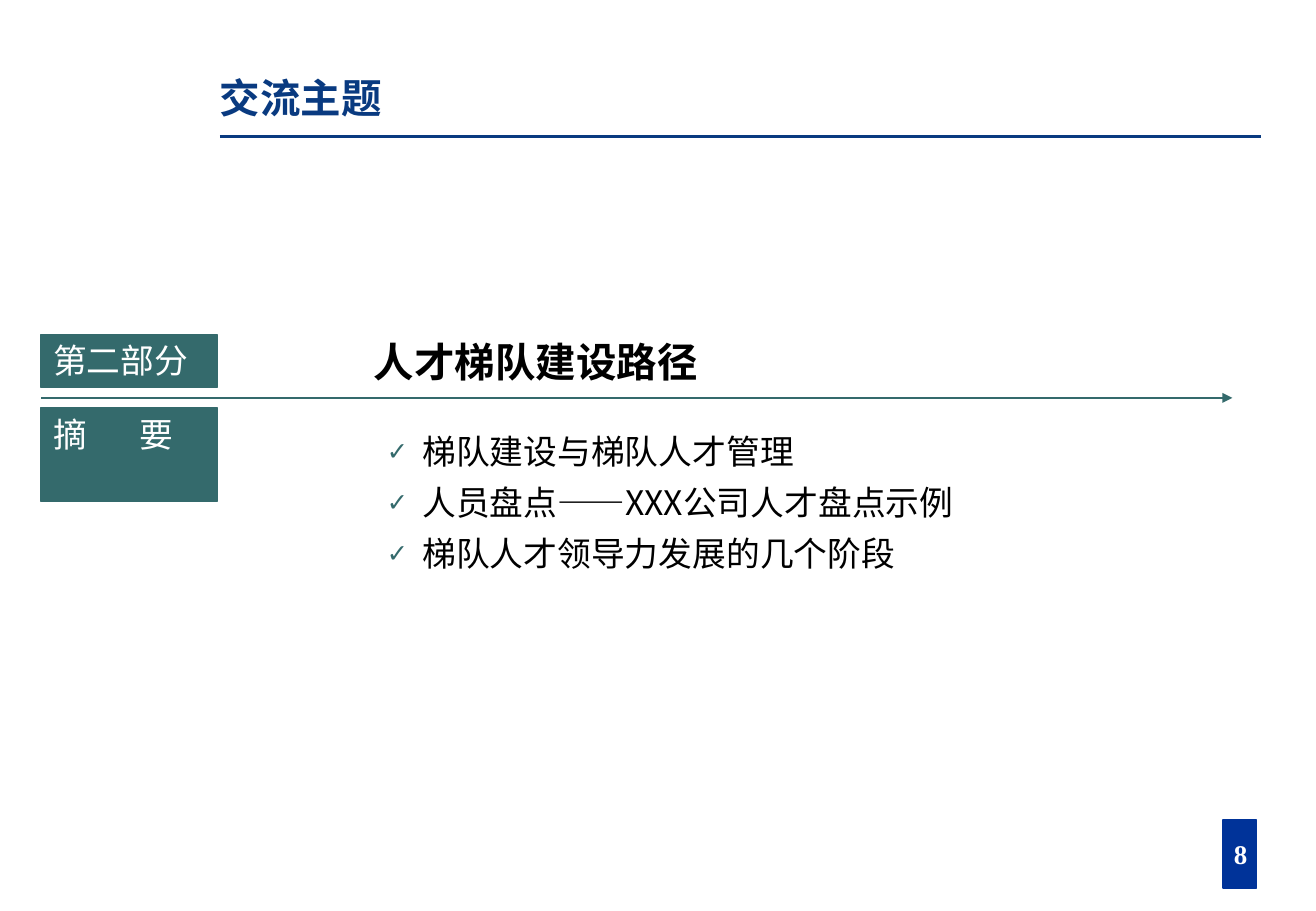
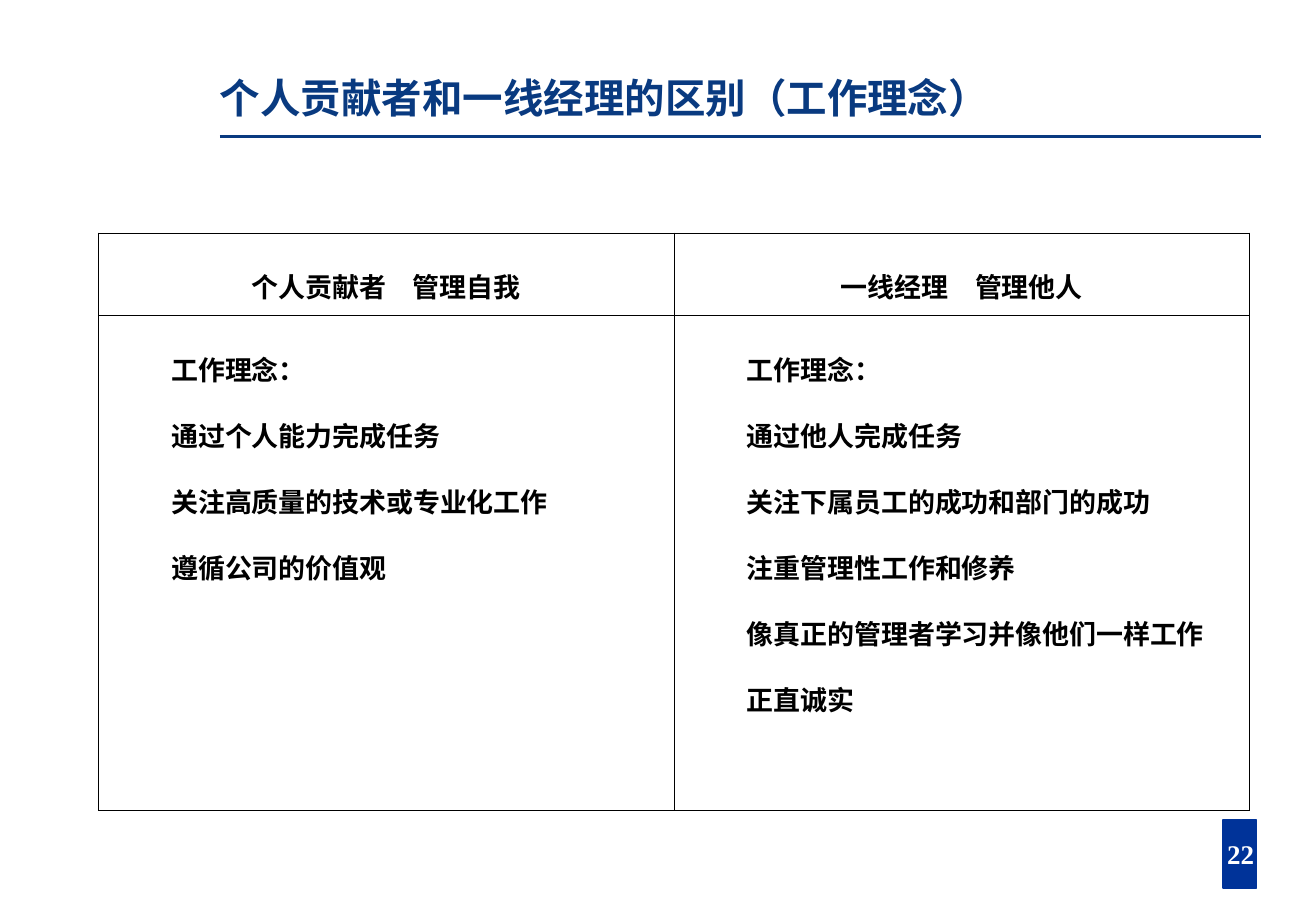
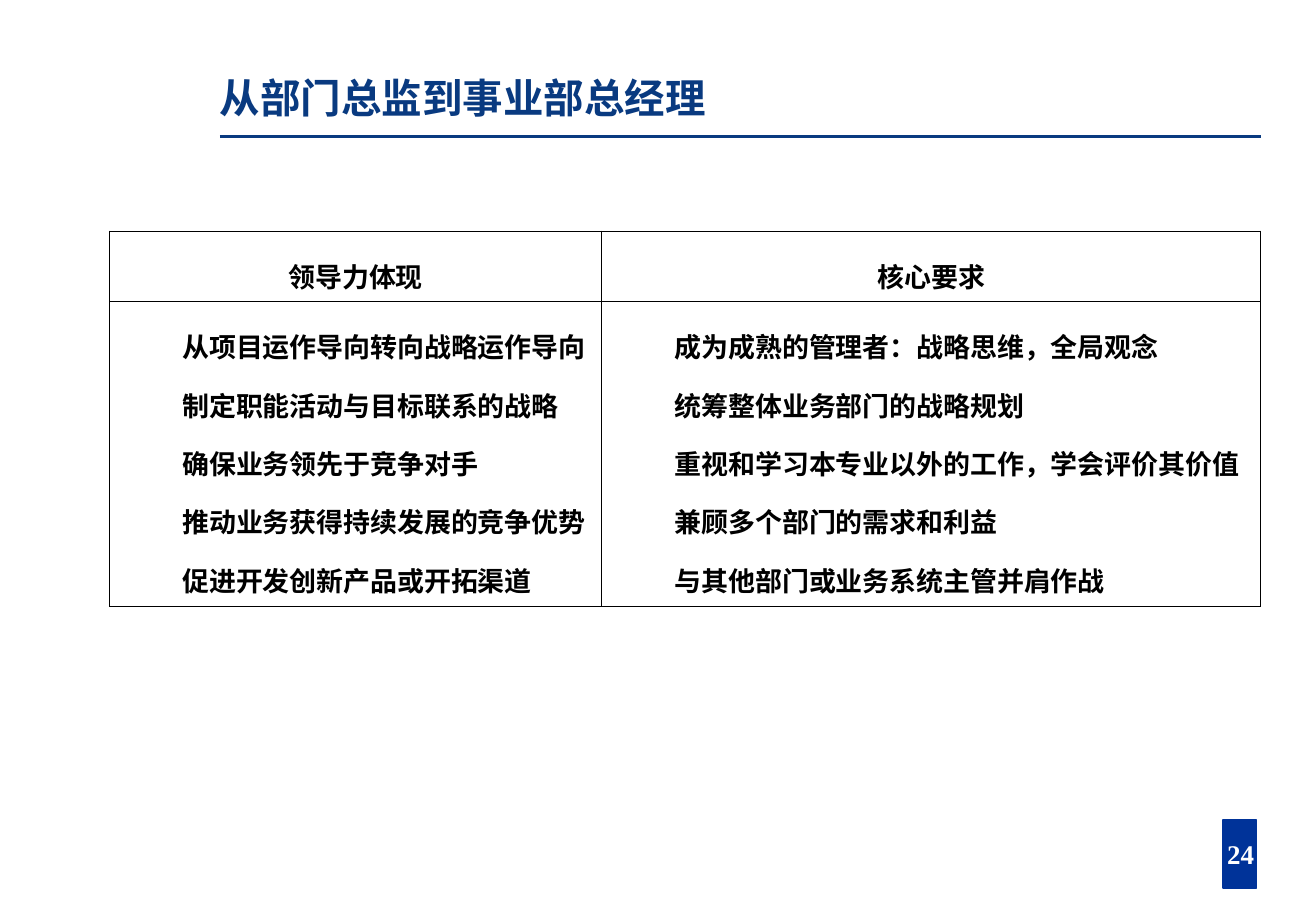
from lxml import etree
from pptx import Presentation
from pptx.dml.color import RGBColor
from pptx.enum.shapes import MSO_CONNECTOR, MSO_SHAPE
from pptx.enum.text import MSO_ANCHOR, MSO_AUTO_SIZE, PP_ALIGN
from pptx.oxml.ns import qn
from pptx.util import Cm, Pt

STRAIGHT = MSO_CONNECTOR.STRAIGHT
RECTANGLE = MSO_SHAPE.RECTANGLE
TOP, BOTTOM = MSO_ANCHOR.TOP, MSO_ANCHOR.BOTTOM
NO_AUTOFIT = MSO_AUTO_SIZE.NONE
LEFT, CENTER = PP_ALIGN.LEFT, PP_ALIGN.CENTER

NAVY, BLUE, TEAL = "093A80", "003399", "346A6C"
BLACK, WHITE = "000000", "FFFFFF"
CJK, SERIF, SANS = "Noto Sans CJK SC", "Times New Roman", "Arial"


def color(hex_value):
    return RGBColor.from_string(hex_value)


def format_run(run, size, hex_value, latin=CJK, bold=False):
    run.font.size = Pt(size)
    run.font.bold = bold
    run.font.color.rgb = color(hex_value)
    run.font.name = latin
    etree.SubElement(run.font._element, qn("a:ea")).set("typeface", CJK)


presentation = Presentation()
presentation.slide_width, presentation.slide_height = Cm(27.53), Cm(19.05)
content_layout = presentation.slide_layouts[1]
title_only_layout = presentation.slide_layouts[5]

# Titles and page numbers
slides = []
for layout, title_text, page_number in (
    (content_layout, "交流主题", "8"),
    (title_only_layout, "个人贡献者和一线经理的区别（工作理念）", "22"),
    (title_only_layout, "从部门总监到事业部总经理", "24"),
):
    slide = presentation.slides.add_slide(layout)
    slides.append(slide)
    title = slide.shapes.title
    title.left, title.top, title.width, title.height = Cm(4.6), Cm(0.64), Cm(21.77), Cm(1.9)
    frame = title.text_frame
    frame.text = title_text
    frame.auto_size = NO_AUTOFIT
    frame.vertical_anchor = BOTTOM
    frame.margin_left = frame.margin_right = frame.margin_top = frame.margin_bottom = 0
    frame.paragraphs[0].alignment = LEFT
    frame.paragraphs[0].line_spacing = 0.8
    format_run(frame.paragraphs[0].runs[0], 24, NAVY, bold=True)

    number_box = slide.shapes.add_textbox(Cm(24.43), Cm(17.4), Cm(3.05), Cm(0.94))
    number_box.text_frame.text = page_number
    number_box.text_frame.word_wrap = False
    paragraph = number_box.text_frame.paragraphs[0]
    paragraph.alignment = CENTER
    format_run(paragraph.runs[0], 16, WHITE, SERIF, bold=True)

agenda = slides[0]

# Section arrow and title rule
lines = []
for left, right, y, hex_value, width in (
    (0.86, 25.78, 8.32, TEAL, 1),
    (4.6, 26.37, 2.86, NAVY, 2),
):
    line = agenda.shapes.add_connector(STRAIGHT, Cm(left), Cm(y), Cm(right), Cm(y))
    line.line.color.rgb = color(hex_value)
    line.line.width = Pt(width)
    etree.SubElement(line._element.spPr, qn("a:effectLst"))
    lines.append(line)
section_arrow, title_rule = lines
etree.SubElement(section_arrow.line._ln, qn("a:tailEnd")).set("type", "triangle")

# Section labels and page number band
blocks = []
for left, top, width, height, hex_value, line_width, text in (
    (0.86, 6.99, 3.68, 1.12, TEAL, 0.75, "第二部分"),
    (0.86, 8.53, 3.68, 1.96, TEAL, 0.75, "摘\t要"),
    (25.58, 17.15, 0.71, 1.42, BLUE, 1, ""),
):
    block = agenda.shapes.add_shape(RECTANGLE, Cm(left), Cm(top), Cm(width), Cm(height))
    block.shadow.inherit = False
    block.fill.solid()
    block.fill.fore_color.rgb = color(hex_value)
    block.line.color.rgb = color(hex_value)
    block.line.width = Pt(line_width)
    frame = block.text_frame
    frame.text = text
    frame.vertical_anchor = TOP
    paragraph = frame.paragraphs[0]
    paragraph.alignment = LEFT
    for run in paragraph.runs:
        format_run(run, 20, WHITE, SANS)
    blocks.append(block)
section_label, summary_label, number_band = blocks

# Tab stop that spreads the two characters of the summary label
summary_properties = summary_label.text_frame.paragraphs[0]._p.get_or_add_pPr()
tab_list = etree.SubElement(summary_properties, qn("a:tabLst"))
etree.SubElement(tab_list, qn("a:tab"), pos=str(Cm(1.8)), algn="l")

# The rule and the band belong to the master, so every slide shows them
master_tree = presentation.slide_master.shapes._spTree
for shape_id, shape in enumerate((title_rule, number_band), start=101):
    shape._element.xpath("./*/p:cNvPr")[0].set("id", str(shape_id))
    master_tree.append(shape._element)

# Section heading
heading = agenda.shapes.add_textbox(Cm(7.57), Cm(6.93), Cm(17.32), Cm(1.3))
heading.text_frame.word_wrap = True
heading.text_frame.text = "人才梯队建设路径"
format_run(heading.text_frame.paragraphs[0].runs[0], 24, BLACK, SERIF, bold=True)

# Checked list
topics = (
    (("梯队建设与梯队人才管理", CJK),),
    (("人员盘点", CJK), ("——", SERIF), ("XXX公司人才盘点示例", CJK)),
    (("梯队人才领导力发展的几个阶段", CJK),),
)
body = agenda.placeholders[1]
body.left, body.top, body.width, body.height = Cm(6.83), Cm(8.89), Cm(18.85), Cm(4.32)
frame = body.text_frame
frame.auto_size = NO_AUTOFIT
for index, topic in enumerate(topics):
    paragraph = frame.add_paragraph() if index else frame.paragraphs[0]
    paragraph.space_before = Pt(6.2)
    for text, font in topic:
        run = paragraph.add_run()
        run.text = text
        format_run(run, 20, BLACK, font)
    properties = paragraph._p.get_or_add_pPr()
    properties.set("marL", str(Cm(1.75)))
    properties.set("indent", str(Cm(-0.74)))
    bullet_color = etree.SubElement(properties, qn("a:buClr"))
    etree.SubElement(bullet_color, qn("a:srgbClr"), val=TEAL)
    etree.SubElement(properties, qn("a:buSzPct"), val="75000")
    etree.SubElement(properties, qn("a:buChar"), char="✓")

# Comparison tables: place, column widths, row heights, line spacing, cells
comparisons = (
    (slides[1], 2.06, 4.87, (12.04, 12.04), (1.73, 10.34), 1.7, (
        (("个人贡献者　管理自我",), ("一线经理　管理他人",)),
        (("工作理念：", "通过个人能力完成任务", "关注高质量的技术或专业化工作",
          "遵循公司的价值观"),
         ("工作理念：", "通过他人完成任务", "关注下属员工的成功和部门的成功",
          "注重管理性工作和修养", "像真正的管理者学习并像他们一样工作", "正直诚实")),
    )),
    (slides[2], 2.29, 4.83, (10.3, 13.78), (1.47, 6.37), 1.5, (
        (("领导力体现",), ("核心要求",)),
        (("从项目运作导向转向战略运作导向", "制定职能活动与目标联系的战略",
          "确保业务领先于竞争对手", "推动业务获得持续发展的竞争优势",
          "促进开发创新产品或开拓渠道"),
         ("成为成熟的管理者：战略思维，全局观念", "统筹整体业务部门的战略规划",
          "重视和学习本专业以外的工作，学会评价其价值", "兼顾多个部门的需求和利益",
          "与其他部门或业务系统主管并肩作战")),
    )),
)
for slide, left, top, widths, heights, spacing, rows in comparisons:
    table = slide.shapes.add_table(
        len(heights), len(widths), Cm(left), Cm(top), Cm(sum(widths)), Cm(sum(heights))
    ).table
    table.first_row = table.horz_banding = False
    for column, width in zip(table.columns, widths):
        column.width = Cm(width)
    for row_index, (height, row) in enumerate(zip(heights, rows)):
        table.rows[row_index].height = Cm(height)
        for column_index, entries in enumerate(row):
            cell = table.cell(row_index, column_index)
            cell.fill.background()
            cell.text_frame.text = "\n".join(entries)
            for paragraph in cell.text_frame.paragraphs:
                paragraph.line_spacing = spacing
                if row_index == 0:
                    paragraph.alignment = CENTER
                else:
                    paragraph._p.get_or_add_pPr().set("marL", str(Cm(1.27)))
                format_run(paragraph.runs[0], 16, BLACK, SERIF, bold=True)
            # Thin black border on all four sides, ahead of the fill
            cell_properties = cell._tc.get_or_add_tcPr()
            for position, side in enumerate(("lnL", "lnR", "lnT", "lnB")):
                border = etree.Element(qn("a:" + side), w=str(Pt(0.45)))
                border_fill = etree.SubElement(border, qn("a:solidFill"))
                etree.SubElement(border_fill, qn("a:srgbClr"), val=BLACK)
                cell_properties.insert(position, border)

presentation.save("out.pptx")
